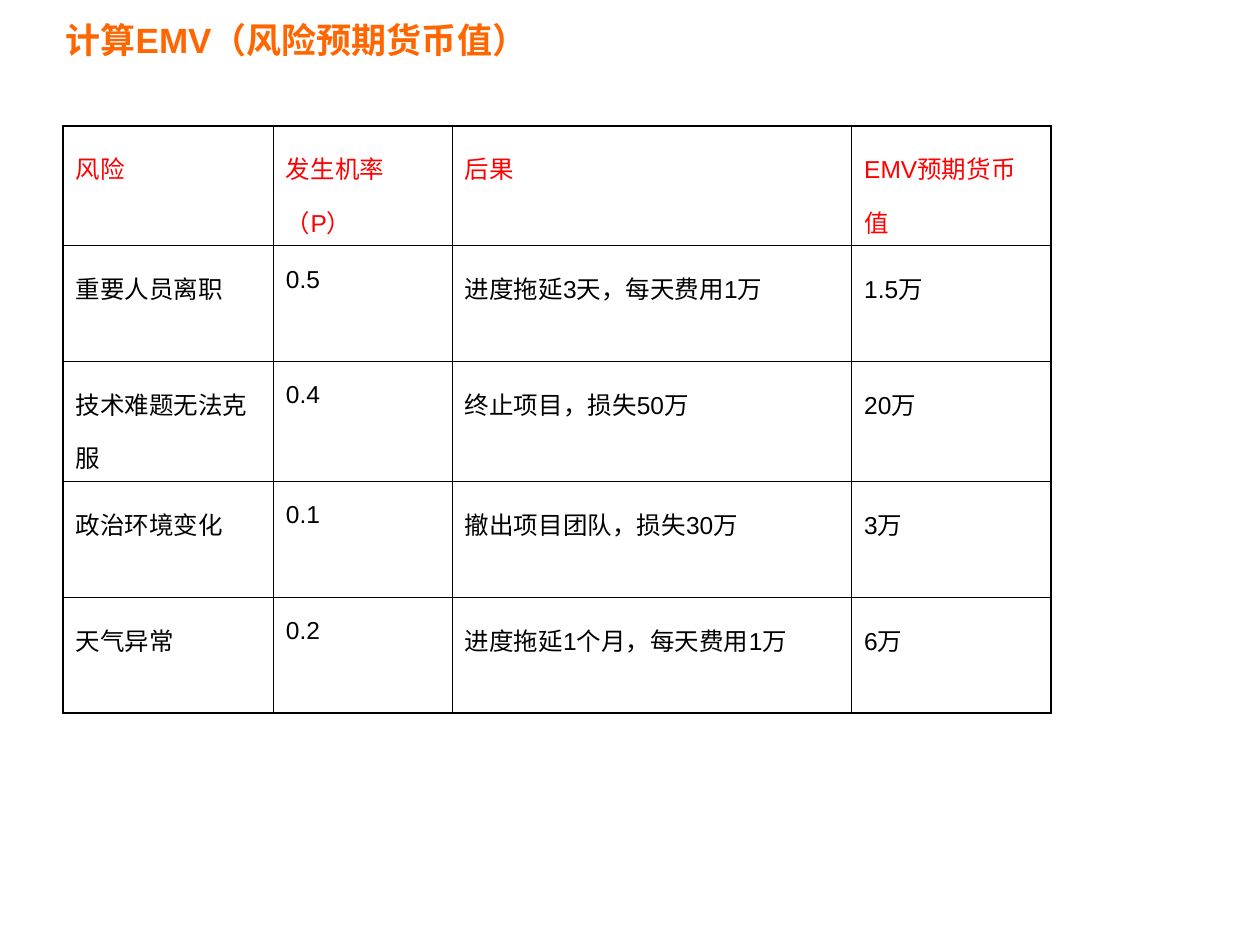
from lxml.etree import SubElement
from pptx import Presentation
from pptx.dml.color import RGBColor
from pptx.enum.text import MSO_ANCHOR, MSO_AUTO_SIZE, PP_ALIGN
from pptx.oxml.ns import qn
from pptx.util import Inches, Pt

ORANGE = RGBColor(0xFF, 0x66, 0x00)
RED = RGBColor(0xFF, 0x00, 0x00)
BLACK = RGBColor(0x00, 0x00, 0x00)
FONT = "Arial"
OUTER_LINE, INNER_LINE = Pt(1.08), Pt(0.45)

COLUMN_WIDTHS = [1.67, 1.42, 3.17, 1.58]
ROW_HEIGHT = 0.92
RISKS = [
    ["风险", "发生机率（P）", "后果", "EMV预期货币值"],
    ["重要人员离职", "0.5", "进度拖延3天，每天费用1万", "1.5万"],
    ["技术难题无法克服", "0.4", "终止项目，损失50万", "20万"],
    ["政治环境变化", "0.1", "撤出项目团队，损失30万", "3万"],
    ["天气异常", "0.2", "进度拖延1个月，每天费用1万", "6万"],
]


def style_font(font, size, color, bold=False):
    font.name = FONT
    font.size = Pt(size)
    font.bold = bold
    font.color.rgb = color


def add_border(cell, side, width):
    line = SubElement(cell._tc.get_or_add_tcPr(), qn(f"a:ln{side}"), w=str(width))
    fill = SubElement(line, qn("a:solidFill"))
    SubElement(fill, qn("a:srgbClr"), val=str(BLACK))


deck = Presentation()
deck.slide_width, deck.slide_height = Inches(10), Inches(7.5)
page = deck.slides.add_slide(deck.slide_layouts[5])

# Title
title = page.shapes.title
title.left, title.top = Inches(0.42), Inches(0)
title.width, title.height = Inches(4.58), Inches(0.62)
frame = title.text_frame
frame.text = "计算EMV（风险预期货币值）"
frame.word_wrap = True
frame.auto_size = MSO_AUTO_SIZE.NONE
frame.vertical_anchor = MSO_ANCHOR.MIDDLE
para = frame.paragraphs[0]
para.alignment = PP_ALIGN.LEFT
style_font(para.runs[0].font, 20, ORANGE, bold=True)

# Risk table
last_row, last_column = len(RISKS) - 1, len(COLUMN_WIDTHS) - 1
table = page.shapes.add_table(
    len(RISKS), len(COLUMN_WIDTHS), Inches(0.5), Inches(1),
    Inches(sum(COLUMN_WIDTHS)), Inches(ROW_HEIGHT * len(RISKS))).table
table.first_row = False
table.horz_banding = False
for column, width in zip(table.columns, COLUMN_WIDTHS):
    column.width = Inches(width)

for r, texts in enumerate(RISKS):
    table.rows[r].height = Inches(ROW_HEIGHT)
    for c, text in enumerate(texts):
        cell = table.cell(r, c)
        cell.text_frame.text = text
        para = cell.text_frame.paragraphs[0]
        para.line_spacing = 1.5
        style_font(para.runs[0].font, 14, RED if r == 0 else BLACK)

        # Thick frame around the table, thin lines inside
        on_edge = {"L": c == 0, "R": c == last_column,
                   "T": r == 0, "B": r == last_row}
        for side, is_outer in on_edge.items():
            add_border(cell, side, OUTER_LINE if is_outer else INNER_LINE)
        cell.fill.background()

deck.save("out.pptx")
